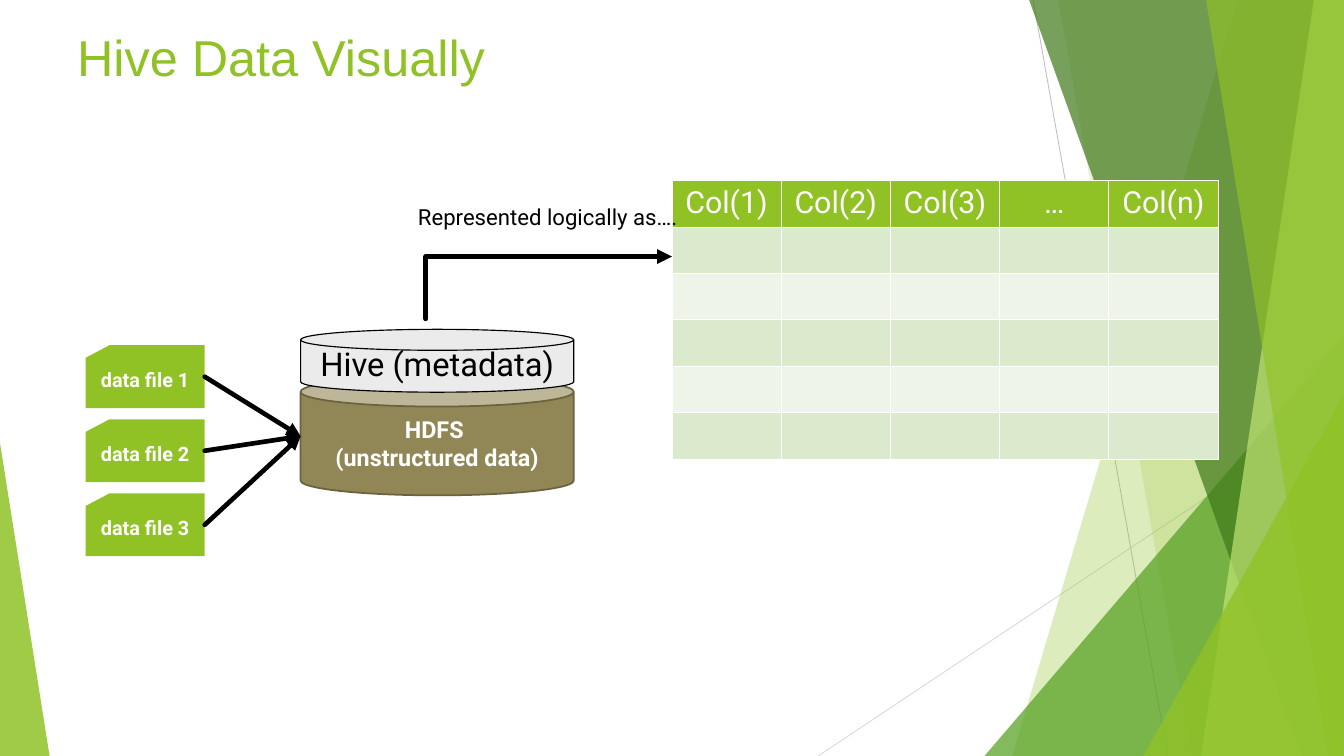
from lxml.etree import SubElement
from pptx import Presentation
from pptx.dml.color import RGBColor
from pptx.enum.shapes import MSO_CONNECTOR, MSO_SHAPE
from pptx.enum.text import MSO_ANCHOR, PP_ALIGN
from pptx.oxml.ns import qn
from pptx.util import Cm, Pt

COLORS = {
    "green": "90C226", "leaf": "54A021", "forest": "3F7819", "lime": "C0E474",
    "band_dark": "DBE9CD", "band_light": "EEF4E8", "khaki": "918655",
    "khaki_line": "6B633F", "pale": "EBEBEB", "white": "FFFFFF", "black": "000000",
    "rule_dark": "BFBFBF", "rule_light": "D9D9D9",
}
WIDTH, HEIGHT = 40.64, 22.86
HEADERS = ["Col(1)", "Col(2)", "Col(3)", "…", "Col(n)"]
BODY_ROWS = 5


def rgb(name):
    return RGBColor.from_string(COLORS[name])


def paint(shape, fill, alpha=None, line=None, width=1):
    shape.shadow.inherit = False
    shape.fill.solid()
    shape.fill.fore_color.rgb = rgb(fill)
    if alpha is not None:
        color = shape.fill._xPr.find(qn("a:solidFill"))[0]
        SubElement(color, qn("a:alpha"), val=str(alpha * 1000))
    if line:
        shape.line.color.rgb = rgb(line)
        shape.line.width = Pt(width)
    else:
        shape.line.fill.background()


def write(frame, text, size, color, font="Roboto", bold=False,
          align=PP_ALIGN.CENTER, anchor=MSO_ANCHOR.MIDDLE, inset=0.3, wrap=True):
    frame.text = text
    frame.word_wrap = wrap
    frame.vertical_anchor = anchor
    frame.margin_left = frame.margin_right = Cm(inset)
    frame.margin_top = frame.margin_bottom = Cm(inset)
    para = frame.paragraphs[0]
    para.alignment = align
    for span in para.runs:
        span.font.name, span.font.size, span.font.bold = font, Pt(size), bold
        span.font.color.rgb = rgb(color)
    return para


def add_facet(page, top_x, bottom_x, fill, alpha):
    """Full-height band from a slanted left edge to the right page edge."""
    builder = page.shapes.build_freeform(Cm(top_x), 0)
    corners = [(WIDTH, 0), (WIDTH, HEIGHT), (bottom_x, HEIGHT)]
    builder.add_line_segments([(Cm(x), Cm(y)) for x, y in corners], close=True)
    paint(builder.convert_to_shape(), fill, alpha)


def add_box(page, kind, left, top, width, height):
    return page.shapes.add_shape(kind, Cm(left), Cm(top), Cm(width), Cm(height))


def add_triangle(page, left, top, width, peak, fill, alpha):
    """Triangle that stands on the bottom page edge."""
    shape = add_box(page, MSO_SHAPE.ISOSCELES_TRIANGLE, left, top, width, HEIGHT - top)
    shape.adjustments[0] = peak
    paint(shape, fill, alpha)


def add_line(page, start, end, color, width, arrow=False, kind=MSO_CONNECTOR.STRAIGHT):
    line = page.shapes.add_connector(kind, *(Cm(value) for value in (*start, *end)))
    line.line.color.rgb = rgb(color)
    line.line.width = Pt(width)
    SubElement(line._element.spPr, qn("a:effectLst"))
    if arrow:
        outline = line.line._get_or_add_ln()
        outline.set("cap", "rnd")
        SubElement(outline, qn("a:round"))
        SubElement(outline, qn("a:tailEnd"), type="triangle")
    return line


def add_background(page):
    add_line(page, (31.24, 0), (35.31, HEIGHT), "rule_dark", 0.75)
    add_line(page, (WIDTH, 12.27), (24.74, HEIGHT), "rule_light", 0.75)
    add_facet(page, 37.41, 30.61, "green", 30)
    add_facet(page, 32, 36.04, "green", 20)
    add_triangle(page, 29.77, 10.16, 10.87, 1, "leaf", 72)
    add_facet(page, 31.12, 39.34, "forest", 70)
    add_facet(page, 39.73, 36.32, "lime", 70)
    add_facet(page, 36.47, 40.16, "green", 65)
    add_triangle(page, 34.57, 11.96, 6.05, 1, "green", 80)
    add_triangle(page, 0, 13.39, 1.5, 0, "green", 85)


def add_title(page):
    title = page.shapes.title
    page.shapes._spTree.append(title._element)  # in front of the background
    title.left, title.top, title.width, title.height = Cm(2.03), 0, Cm(36.58), Cm(3.38)
    write(title.text_frame, "Hive Data Visually", 43.2, "green", "Arial",
          align=PP_ALIGN.LEFT, inset=0.3)


def fill_cell(cell, fill):
    cell.fill.solid()
    cell.fill.fore_color.rgb = rgb(fill)
    properties = cell._tc.get_or_add_tcPr()
    for index, side in enumerate(("lnL", "lnR", "lnT", "lnB")):
        border = properties.makeelement(qn(f"a:{side}"), {"w": str(Pt(1))})
        properties.insert(index, border)
        solid = SubElement(border, qn("a:solidFill"))
        SubElement(solid, qn("a:srgbClr"), val=COLORS["white"])


def add_logical_table(page):
    frame = page.shapes.add_table(BODY_ROWS + 1, len(HEADERS), Cm(20.32), Cm(5.46),
                                  Cm(16.51), Cm(8.43))
    table = frame.table
    for column, header in enumerate(HEADERS):
        cell = table.cell(0, column)
        fill_cell(cell, "green")
        cell.margin_left = cell.margin_right = Cm(0.3)
        cell.margin_top = cell.margin_bottom = Cm(0.15)
        cell.text = header
        para = cell.text_frame.paragraphs[0]
        para.alignment = PP_ALIGN.CENTER
        font = para.runs[0].font
        font.name, font.size, font.bold = "Roboto", Pt(26), False
        font.color.rgb = rgb("white")
        for row in range(1, BODY_ROWS + 1):
            fill_cell(table.cell(row, column), "band_dark" if row % 2 else "band_light")


def add_storage(page):
    # Unstructured store
    store = add_box(page, MSO_SHAPE.CAN, 9.09, 11.4, 8.26, 3.58)
    paint(store, "khaki", line="khaki_line", width=1.5)
    write(store.text_frame, "HDFS \v(unstructured data)", 20, "white", bold=True)

    # Data files feeding the store
    for index in range(3):
        top = 10.44 + 2.24 * index
        card = add_box(page, MSO_SHAPE.FLOWCHART_CARD, 2.59, top, 3.6, 1.9)
        paint(card, "green")
        write(card.text_frame, f"data file {index + 1}", 17, "white", bold=True,
              anchor=MSO_ANCHOR.TOP)
        arrow = add_line(page, (6.19, top + 0.95), (9.09, 13.19), "black", 4, arrow=True)
        arrow.begin_connect(card, 3)

    # Metadata layer on top of the store
    metadata = add_box(page, MSO_SHAPE.FLOWCHART_MAGNETIC_DISK, 9.09, 9.96, 8.26, 1.9)
    paint(metadata, "pale", line="black")
    para = write(metadata.text_frame, "Hive (metadata)", 28, "black", inset=0.5)
    para.line_spacing = 0.85


def add_logical_link(page):
    box = page.shapes.add_textbox(Cm(12.34), Cm(5.84), Cm(8.81), Cm(1.42))
    write(box.text_frame, "Represented logically as….", 19, "black",
          align=PP_ALIGN.LEFT, anchor=MSO_ANCHOR.TOP, wrap=False)
    # One-corner elbow, turned so that it rises first and then runs right
    elbow = add_line(page, (17.54, 12.42), (15.66, 4.98), "black", 4.25, arrow=True,
                     kind=MSO_CONNECTOR.ELBOW)
    properties = elbow._element.spPr
    properties.find(qn("a:prstGeom")).set("prst", "bentConnector2")
    properties.find(qn("a:xfrm")).set("rot", "5400000")


def main():
    deck = Presentation()
    deck.slide_width, deck.slide_height = Cm(WIDTH), Cm(HEIGHT)
    page = deck.slides.add_slide(deck.slide_layouts[5])
    add_background(page)
    add_title(page)
    add_logical_table(page)
    add_logical_link(page)
    add_storage(page)
    deck.save("out.pptx")


if __name__ == "__main__":
    main()
